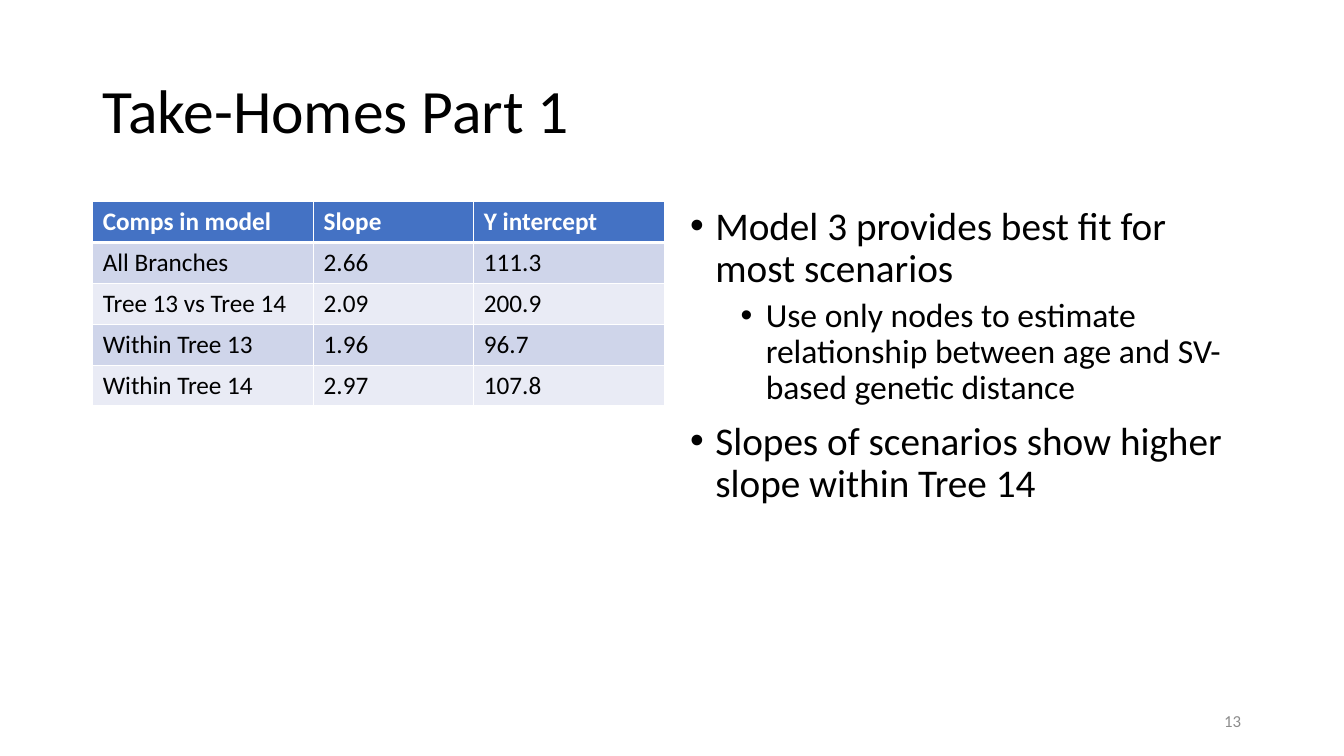
from lxml.etree import SubElement
from pptx import Presentation
from pptx.dml.color import RGBColor
from pptx.enum.text import MSO_ANCHOR, MSO_AUTO_SIZE, PP_ALIGN
from pptx.oxml.ns import qn
from pptx.util import Inches, Pt

BLACK = RGBColor(0x00, 0x00, 0x00)
WHITE = RGBColor(0xFF, 0xFF, 0xFF)
GRAY = RGBColor(0x8C, 0x8C, 0x8C)
HEADER_BLUE = RGBColor(0x44, 0x72, 0xC4)
BANDS = [RGBColor(0xE9, 0xEB, 0xF5), RGBColor(0xCF, 0xD5, 0xEA)]

# Page grid: two equal columns between the side margins
WIDTH, HEIGHT = 13.33, 7.5
MARGIN, GUTTER, TOP = 0.92, 0.16, 2
COLUMN = (WIDTH - 2 * MARGIN - GUTTER) / 2
RIGHT_COLUMN = MARGIN + COLUMN + GUTTER


def write(frame, text, size=18, color=BLACK, bold=False, align=PP_ALIGN.LEFT,
          anchor=MSO_ANCHOR.TOP, spacing=1.0, before=0, bullet_at=None):
    """Fill the first paragraph of a frame, or add one if it holds text."""
    para = frame.add_paragraph() if frame.text else frame.paragraphs[0]
    frame.word_wrap = True
    frame.vertical_anchor = anchor
    para.alignment, para.line_spacing, para.space_before = align, spacing, Pt(before)
    if bullet_at is not None:
        properties = para._p.get_or_add_pPr()
        properties.set("marL", str(Inches(bullet_at + 0.25)))
        properties.set("indent", str(Inches(-0.25)))
        SubElement(properties, qn("a:buFont"), typeface="Arial")
        SubElement(properties, qn("a:buChar"), char="•")
    span = para.add_run()
    span.text = text
    font = span.font
    font.name, font.size, font.bold = "Calibri", Pt(size), bold
    font.color.rgb = color
    return para


def place(shape, left, top, width, height):
    shape.left, shape.top = Inches(left), Inches(top)
    shape.width, shape.height = Inches(width), Inches(height)
    shape.text_frame.auto_size = MSO_AUTO_SIZE.NONE
    return shape.text_frame


deck = Presentation()
deck.slide_width, deck.slide_height = Inches(WIDTH), Inches(HEIGHT)
page = deck.slides.add_slide(deck.slide_layouts[1])

# Title
title = place(page.shapes.title, MARGIN, 0.4, WIDTH - 2 * MARGIN, 1.45)
write(title, "Take-Homes Part 1", size=44, anchor=MSO_ANCHOR.MIDDLE, spacing=0.9)

# Model table
ROWS = [
    ["Comps in model", "Slope", "Y intercept"],
    ["All Branches", "2.66", "111.3"],
    ["Tree 13 vs Tree 14", "2.09", "200.9"],
    ["Within Tree 13", "1.96", "96.7"],
    ["Within Tree 14", "2.97", "107.8"],
]
COLUMN_WIDTHS = [2.19, 1.59, 1.89]
ROW_HEIGHT = 0.405
table = page.shapes.add_table(
    len(ROWS), len(COLUMN_WIDTHS), Inches(MARGIN), Inches(TOP),
    Inches(sum(COLUMN_WIDTHS)), Inches(ROW_HEIGHT * len(ROWS))).table
for column, width in zip(table.columns, COLUMN_WIDTHS):
    column.width = Inches(width)
for row, values in enumerate(ROWS):
    table.rows[row].height = Inches(ROW_HEIGHT)
    header = row == 0
    for column, value in enumerate(values):
        cell = table.cell(row, column)
        write(cell.text_frame, value, color=WHITE if header else BLACK, bold=header)
        # White rules, thicker between header and body
        for side in ("lnL", "lnR", "lnT", "lnB"):
            thick = (side, row) in (("lnB", 0), ("lnT", 1))
            rule = SubElement(cell._tc.get_or_add_tcPr(), qn(f"a:{side}"),
                              w=str(Pt(3 if thick else 1)))
            fill = SubElement(rule, qn("a:solidFill"))
            SubElement(fill, qn("a:srgbClr"), val=str(WHITE))
        cell.fill.solid()
        cell.fill.fore_color.rgb = HEADER_BLUE if header else BANDS[row % 2]

# Takeaways
TAKEAWAYS = [
    (0, "Model 3 provides best fit for most scenarios"),
    (1, "Use only nodes to estimate relationship between age and SV-based genetic distance"),
    (0, "Slopes of scenarios show higher slope within Tree 14"),
]
body = place(page.placeholders[1], RIGHT_COLUMN, TOP, COLUMN, 4.76)
for level, text in TAKEAWAYS:
    para = write(body, text, size=28 - 4 * level, spacing=0.9,
                 before=10 - 5 * level, bullet_at=0.5 * level)
    para.level = level

# Page number
number = place(page.shapes.add_textbox(0, 0, 0, 0), WIDTH - MARGIN - 3, 6.95, 3, 0.4)
write(number, "13", size=12, color=GRAY, align=PP_ALIGN.RIGHT, anchor=MSO_ANCHOR.MIDDLE)

deck.save("out.pptx")
